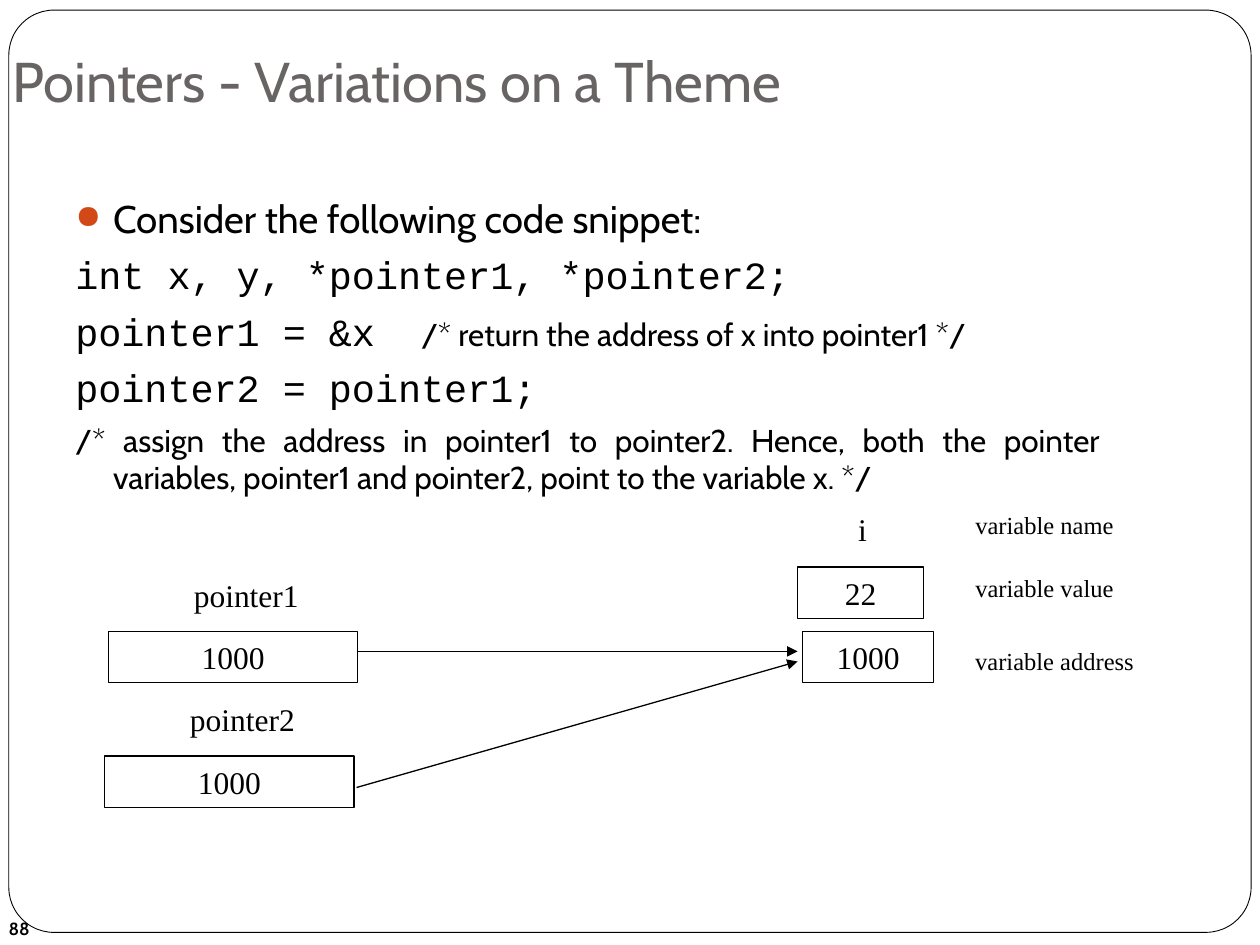
from lxml import etree
from pptx import Presentation
from pptx.dml.color import RGBColor
from pptx.enum.shapes import MSO_CONNECTOR, MSO_SHAPE
from pptx.enum.text import MSO_ANCHOR, PP_ALIGN
from pptx.oxml.ns import qn
from pptx.util import Inches, Pt

STRAIGHT = MSO_CONNECTOR.STRAIGHT
RECTANGLE, ROUNDED = MSO_SHAPE.RECTANGLE, MSO_SHAPE.ROUNDED_RECTANGLE
TOP, MIDDLE, BOTTOM = MSO_ANCHOR.TOP, MSO_ANCHOR.MIDDLE, MSO_ANCHOR.BOTTOM
LEFT, CENTER, JUSTIFY = PP_ALIGN.LEFT, PP_ALIGN.CENTER, PP_ALIGN.JUSTIFY

COLORS = {"ink": "000000", "paper": "FFFFFF", "title": "696464", "bullet": "D34817"}
SANS, CODE, SERIF = "Cabin", "Courier New", "Times New Roman"


def color(name):
    return RGBColor.from_string(COLORS[name])


def add_text(paragraph, text, font=SERIF, size=18, ink="ink", bold=False, align=CENTER):
    paragraph.alignment = align
    run = paragraph.add_run()
    run.text = text
    run.font.name, run.font.size, run.font.bold = font, Pt(size), bold
    run.font.color.rgb = color(ink)


class PointerSlide:
    """Holds the style and the current slide, and adds each kind of element."""

    def __init__(self, deck):
        self.shapes = deck.slides.add_slide(deck.slide_layouts[6]).shapes
        self.line_width = Pt(0.75)

    def frame(self, left, top, width, height, rounding):
        border = self.shapes.add_shape(
            ROUNDED, Inches(left), Inches(top), Inches(width), Inches(height))
        border.adjustments[0] = rounding
        border.shadow.inherit = False
        border.fill.solid()
        border.fill.fore_color.rgb = color("paper")
        border.line.color.rgb = color("ink")
        border.line.width = Pt(0.5)

    def label(self, text, left, top, width, height, anchor=MIDDLE, wrap=True,
              bottom=0.05, **style):
        box = self.shapes.add_textbox(
            Inches(left), Inches(top), Inches(width), Inches(height)).text_frame
        box.word_wrap, box.vertical_anchor = wrap, anchor
        box.margin_bottom = Inches(bottom)
        add_text(box.paragraphs[0], text, **style)

    def cell(self, value, left, top, width):
        memory = self.shapes.add_shape(
            RECTANGLE, Inches(left), Inches(top), Inches(width), Inches(0.41))
        memory.shadow.inherit = False
        memory.fill.background()
        memory.line.color.rgb = color("ink")
        memory.line.width = self.line_width
        memory.text_frame.vertical_anchor = MIDDLE
        add_text(memory.text_frame.paragraphs[0], value)

    def arrow(self, start_x, start_y, end_x, end_y):
        pointer = self.shapes.add_connector(
            STRAIGHT, Inches(start_x), Inches(start_y), Inches(end_x), Inches(end_y))
        pointer.line.color.rgb = color("ink")
        pointer.line.width = self.line_width
        etree.SubElement(pointer.line._get_or_add_ln(), qn("a:tailEnd"), type="triangle")
        etree.SubElement(pointer._element.spPr, qn("a:effectLst"))

    def snippet(self, lines, left, top, width, height):
        body = self.shapes.add_textbox(
            Inches(left), Inches(top), Inches(width), Inches(height)).text_frame
        body.word_wrap = True
        for index, pieces in enumerate(lines):
            paragraph = body.paragraphs[0] if index == 0 else body.add_paragraph()
            properties = paragraph._p.get_or_add_pPr()
            properties.set("marL", str(Inches(0.3)))
            properties.set("indent", str(-Inches(0.3)))
            if index == 0:
                bullet_color = etree.SubElement(properties, qn("a:buClr"))
                etree.SubElement(bullet_color, qn("a:srgbClr"), val=COLORS["bullet"])
                etree.SubElement(properties, qn("a:buSzPct"), val="85000")
                etree.SubElement(properties, qn("a:buChar"), char="●")
            else:
                etree.SubElement(properties, qn("a:buNone"))
                paragraph.space_before = Pt(5.8)
            for text, font, size in pieces:
                add_text(paragraph, text, font=font, size=size, align=JUSTIFY)


def main():
    deck = Presentation()
    deck.slide_width, deck.slide_height = Inches(10), Inches(7.5)
    slide = PointerSlide(deck)

    slide.frame(0.07, 0.08, 9.86, 7.32, 0.049)
    slide.label("88", -0.03, 7.17, 2.33, 0.4, font=SANS, size=10, bold=True, align=LEFT)
    slide.snippet([
        [("Consider the following code snippet:", SANS, 22)],
        [("int x, y, *pointer1, *pointer2;", CODE, 22)],
        [("pointer1 = &x  ", CODE, 22),
         ("/* return the address of x into pointer1 */", SANS, 18)],
        [("pointer2 = pointer1;", CODE, 22)],
        [("/* assign the address in pointer1 to pointer2. Hence, both the pointer "
          "variables, pointer1 and pointer2, point to the variable x. */", SANS, 18)],
    ], 0.5, 1.5, 8.33, 5.5)
    slide.label("Pointers - Variations on a Theme", 0, 0, 8.27, 1, anchor=BOTTOM,
                bottom=0.1, font=SANS, size=32, ink="title", align=LEFT)

    slide.label("i", 6.48, 4, 0.73, 0.4)
    slide.cell("22", 6.33, 4.5, 1)
    slide.cell("1000", 6.37, 5.01, 1.04)
    for caption, left, top in (("variable name", 7.5, 4), ("variable value", 7.5, 4.5),
                               ("variable address", 7.58, 5.08)):
        slide.label(caption, left, top, 1.58, 0.33, anchor=TOP, size=14)

    for name, left, top, start_y, end_y in (("pointer1", 0.86, 5.01, 5.17, 5.17),
                                            ("pointer2", 0.83, 6, 6.25, 5.25)):
        slide.label(name, left + 0.58, top - 0.49, 1.03, 0.4, wrap=False)
        slide.cell("1000", left, top, 1.98)
        slide.arrow(2.83, start_y, 6.33, end_y)

    deck.save("out.pptx")


if __name__ == "__main__":
    main()
